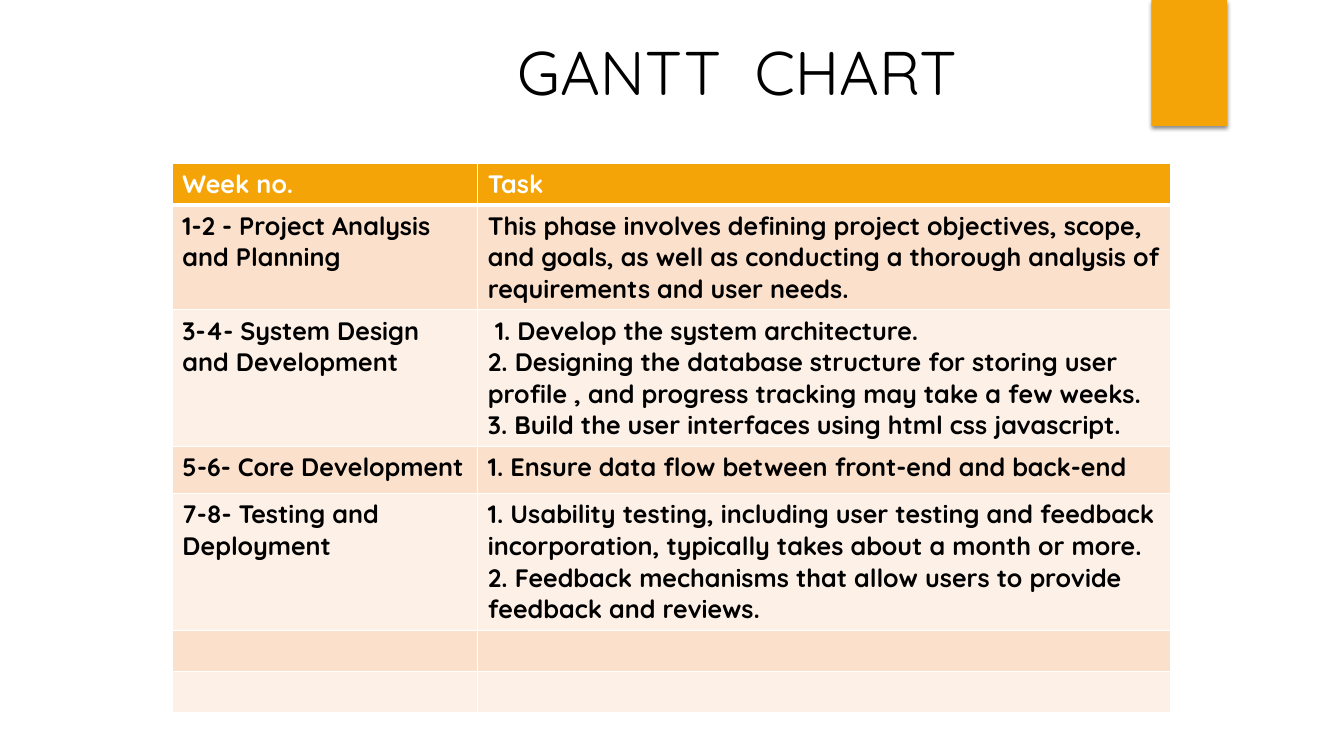
from lxml.etree import SubElement
from pptx import Presentation
from pptx.dml.color import RGBColor as RGB
from pptx.enum.shapes import MSO_SHAPE as SHAPE
from pptx.enum.text import MSO_ANCHOR as ANCHOR, PP_ALIGN as ALIGN
from pptx.oxml.ns import qn
from pptx.util import Inches, Pt

COLORS = {"accent": "F5A408", "odd": "FBE0CC", "even": "FDF0E7",
          "white": "FFFFFF", "black": "000000"}
FONT = "Quicksand"
COLS = [3.03, 6.87]
ROWS = [
    (0.41, "Week no.", ["Task"]),
    (1.03, "1-2 - Project Analysis and Planning",
     ["This phase involves defining project objectives, scope, and goals, "
      "as well as conducting a thorough analysis of requirements and user needs."]),
    (1.33, "3-4- System Design and Development",
     [" 1. Develop the system architecture.",
      "2. Designing the database structure for storing user profile , "
      "and progress tracking may take a few weeks.",
      "3. Build the user interfaces using html css javascript."]),
    (0.47, "5-6- Core Development",
     ["1. Ensure data flow between front-end and back-end"]),
    (1.33, "7-8- Testing and Deployment",
     ["1. Usability testing, including user testing and feedback "
      "incorporation, typically takes about a month or more.",
      "2. Feedback mechanisms that allow users to provide feedback and reviews."]),
    (0.41, "", []),
    (0.41, "", []),
]


def rgb(name):
    """Return the named colour."""
    return RGB.from_string(COLORS[name])


def write(tf, paragraphs, size=18, color="black", bold=False, align=ALIGN.LEFT):
    """Fill a text frame with formatted paragraphs."""
    for i, text in enumerate(paragraphs):
        p = tf.paragraphs[0] if i == 0 else tf.add_paragraph()
        p.alignment = align
        r = p.add_run()
        r.text = text
        r.font.name, r.font.size, r.font.bold = FONT, Pt(size), bold
        r.font.color.rgb = rgb(color)


def border(cell, **widths):
    """Draw white cell borders with widths in points, in order L, R, T, B."""
    tc_pr = cell._tc.get_or_add_tcPr()
    for side, width in widths.items():
        ln = SubElement(tc_pr, qn(f"a:ln{side}"), w=str(Pt(width)))
        fill = SubElement(ln, qn("a:solidFill"))
        SubElement(fill, qn("a:srgbClr"), val=COLORS["white"])


class Deck:
    """Hold the presentation and its current slide."""

    def __init__(self):
        """Start a widescreen deck with one titled slide."""
        self.prs = Presentation()
        self.prs.slide_width, self.prs.slide_height = Inches(13.33), Inches(7.5)
        self.s = self.prs.slides.add_slide(self.prs.slide_layouts[5])

    def title(self, text, x, y, w, h):
        """Place and format the slide title."""
        sp = self.s.shapes.title
        sp.left, sp.top, sp.width, sp.height = map(Inches, (x, y, w, h))
        sp.text_frame.vertical_anchor = ANCHOR.MIDDLE
        write(sp.text_frame, [text], size=44)

    def tab(self, x, y, w, h):
        """Add the accent block with a soft shadow below it."""
        sp = self.s.shapes.add_shape(SHAPE.RECTANGLE, *map(Inches, (x, y, w, h)))
        sp.fill.solid()
        sp.fill.fore_color.rgb = rgb("accent")
        sp.line.fill.background()
        sp.shadow.inherit = False
        effects = sp._element.spPr.find(qn("a:effectLst"))
        shadow = SubElement(effects, qn("a:outerShdw"), blurRad=str(Pt(3)),
                            dist=str(Pt(2)), dir="5400000", rotWithShape="0")
        color = SubElement(shadow, qn("a:srgbClr"), val=COLORS["black"])
        SubElement(color, qn("a:alpha"), val="45000")

    def table(self, x, y, cols, rows):
        """Add the banded schedule table."""
        height = sum(row[0] for row in rows)
        table = self.s.shapes.add_table(
            len(rows), len(cols), *map(Inches, (x, y, sum(cols), height))).table
        for col, width in zip(table.columns, cols):
            col.width = Inches(width)
        for i, (h, week, tasks) in enumerate(rows):
            table.rows[i].height = Inches(h)
            band = "accent" if i == 0 else "odd" if i % 2 else "even"
            for cell, lines in zip(table.rows[i].cells, ([week] if week else [], tasks)):
                border(cell, L=1, R=1, T=3 if i == 1 else 1, B=3 if i == 0 else 1)
                cell.fill.solid()
                cell.fill.fore_color.rgb = rgb(band)
                write(cell.text_frame, lines, bold=True,
                      color="white" if i == 0 else "black")


def main():
    """Build and save the schedule slide."""
    deck = Deck()
    deck.tab(11.42, 0, 0.75, 1.25)
    deck.table(1.71, 1.62, COLS, ROWS)
    deck.title("GANTT  CHART", 5.03, 0.28, 5.45, 0.84)
    deck.prs.save("out.pptx")


if __name__ == "__main__":
    main()
